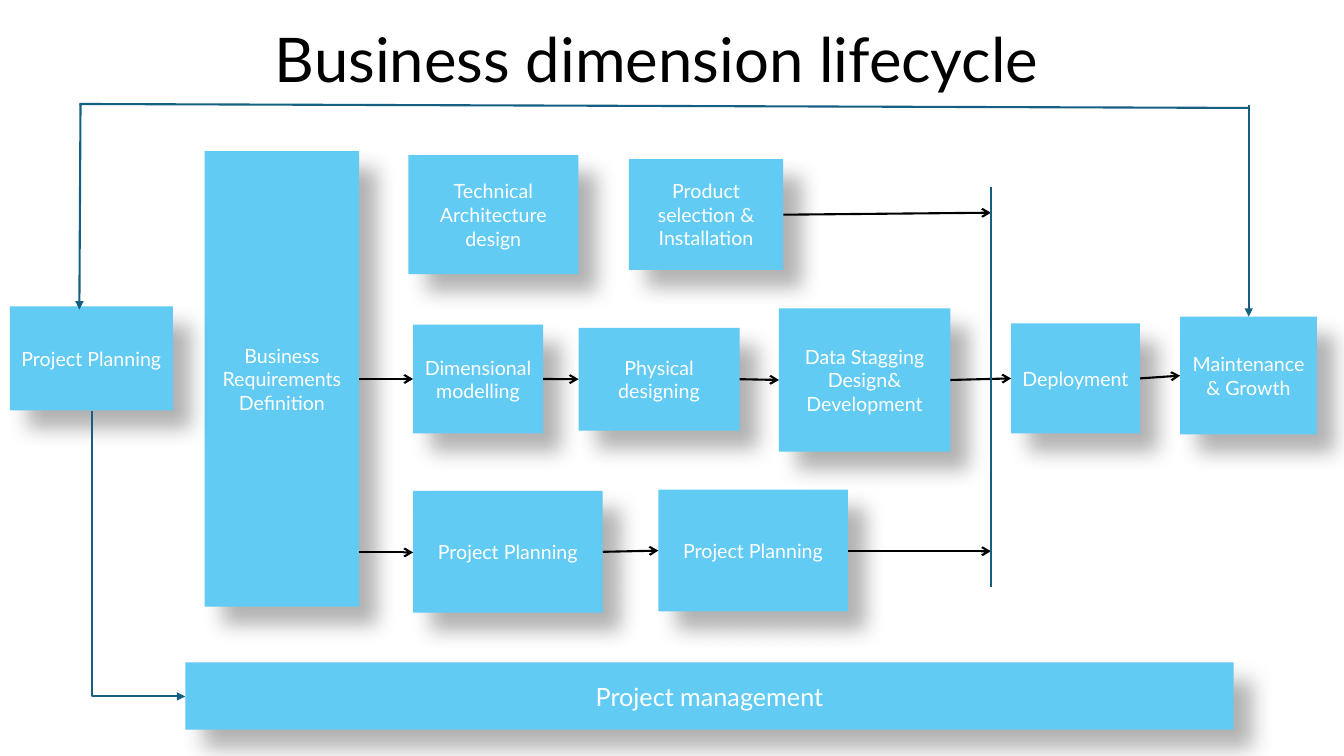
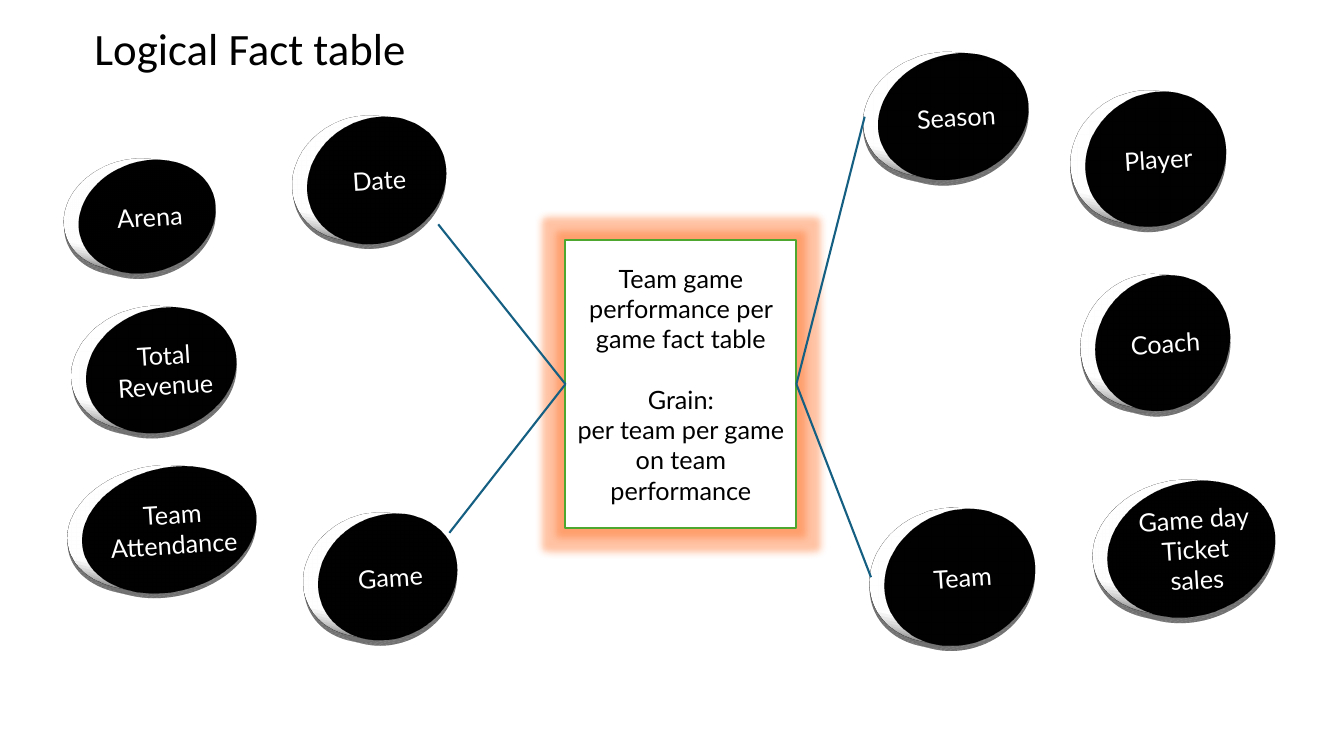
from lxml import etree
from pptx import Presentation
from pptx.dml.color import RGBColor
from pptx.enum.shapes import MSO_CONNECTOR as Link, MSO_SHAPE as Form
from pptx.enum.text import MSO_ANCHOR as Anchor, PP_ALIGN as Align
from pptx.oxml import parse_xml
from pptx.oxml.ns import nsdecls, qn
from pptx.util import Cm, Pt

BLACK, WHITE = "000000", "FFFFFF"
SKY, TEAL, GREEN, ORANGE = "61CBF4", "156082", "4EA72E", "E97132"
FONT = "Lato"
PAGE = (0, 0, 33.87, 19.05)
LEFT, RIGHT = 1, 3  # connection sites of a rectangle


def paint(hue):
    return RGBColor.from_string(hue)


def node(text):
    """Parse one drawing element, adding its namespace."""
    tag, rest = text.split(" ", 1)
    return parse_xml(f"{tag} {nsdecls('a')} {rest}")


def shift(page, area):
    """Move an area given relative to the page box into slide lengths."""
    x, y, w, h = area
    return Cm(page[0] + x), Cm(page[1] + y), Cm(w), Cm(h)


def write(frame, lines, size, hue, font=FONT, align=Align.CENTER, gaps=()):
    frame.word_wrap = True
    frame.vertical_anchor = Anchor.MIDDLE
    for i, line in enumerate(lines):
        para = frame.paragraphs[0] if i == 0 else frame.add_paragraph()
        para.alignment = align
        if i in gaps:
            para.space_before = Pt(size * 1.2)
        run = para.add_run()
        run.text = line
        run.font.size, run.font.name = Pt(size), font
        run.font.color.rgb = paint(hue)


def title(slide, page, area, text, size, font=FONT):
    frame = slide.shapes.add_textbox(*shift(page, area)).text_frame
    write(frame, [text], size, BLACK, font, Align.LEFT)
    frame.paragraphs[0].line_spacing = 0.9


def plain(slide, page, form, area, fill):
    shape = slide.shapes.add_shape(form, *shift(page, area))
    shape.shadow.inherit = False
    shape.fill.solid()
    shape.fill.fore_color.rgb = paint(fill)
    shape.line.fill.background()
    return shape


def effect(shape, text):
    shape.element.spPr.find(qn("a:effectLst")).append(node(text))


def shade(shape, alpha, blur, dist, angle):
    effect(shape, f'<a:outerShdw blurRad="{Pt(blur)}" dist="{Pt(dist)}" '
           f'dir="{angle * 60000}" algn="ctr" rotWithShape="0">'
           f'<a:srgbClr val="{BLACK}"><a:alpha val="{alpha * 1000}"/>'
           '</a:srgbClr></a:outerShdw>')


def card(slide, page, area, text, size=14):
    shape = plain(slide, page, Form.RECTANGLE, area, SKY)
    shade(shape, 30, 15, 18, 45)
    write(shape.text_frame, [text], size, WHITE)
    return shape


def disc(slide, page, area, text):
    """A black oval seen at an angle, with a thick white rim."""
    shape = plain(slide, page, Form.OVAL, area, BLACK)
    shade(shape, 33, 17.8, 4, 87)
    props = shape.element.spPr
    props.append(node(
        '<a:scene3d ><a:camera prst="perspectiveFront" fov="3300000">'
        '<a:rot lat="486000" lon="19530000" rev="174000"/></a:camera>'
        '<a:lightRig rig="harsh" dir="t">'
        '<a:rot lat="0" lon="0" rev="3000000"/></a:lightRig></a:scene3d>'))
    props.append(node(
        '<a:sp3d extrusionH="254000" contourW="19050">'
        '<a:bevelT w="82550" h="44450" prst="angle"/>'
        '<a:bevelB w="82550" h="44450" prst="angle"/>'
        f'<a:extrusionClr><a:srgbClr val="{WHITE}"/></a:extrusionClr>'
        f'<a:contourClr><a:srgbClr val="{WHITE}"/></a:contourClr></a:sp3d>'))
    write(shape.text_frame, [text], 18, WHITE)


def line(slide, page, start, end, hue=TEAL, head=None, kind=Link.STRAIGHT):
    x, y = page[:2]
    link = slide.shapes.add_connector(
        kind, Cm(x + start[0]), Cm(y + start[1]),
        Cm(x + end[0]), Cm(y + end[1]))
    link.line.color.rgb = paint(hue)
    link.line.width = Pt(1.5)
    if head:
        link.line._get_or_add_ln().append(node(f'<a:tailEnd type="{head}"/>'))
    etree.SubElement(link.element.spPr, qn("a:effectLst"))
    return link


def elbow(slide, page, start, end):
    """Run down from start, then right to end, as a turned connector."""
    (x0, y0), (x1, y1) = start, end
    mid, level = (x0 + x1) / 2, (y0 + y1) / 2
    half, rise = (y1 - y0) / 2, (x1 - x0) / 2
    link = line(slide, page, (mid + half, level - rise),
                (mid - half, level + rise), head="triangle", kind=Link.ELBOW)
    props = link.element.spPr
    props.find(qn("a:prstGeom")).set("prst", "bentConnector2")
    props.find(qn("a:xfrm")).set("rot", str(270 * 60000))


def flow(slide, page):
    cards = {key: card(slide, page, area, text) for key, area, text in (
        ("needs", (5.16, 3.81, 3.89, 11.48), "Business Requirements Definition"),
        ("plan", (0.25, 7.72, 4.11, 2.62), "Project Planning"),
        ("tech", (10.29, 3.91, 4.29, 3), "Technical Architecture design"),
        ("goods", (15.85, 4.01, 3.89, 2.79), "Product selection & Installation"),
        ("model", (10.41, 8.18, 3.28, 2.74), "Dimensional modelling"),
        ("first", (10.41, 12.37, 4.78, 3.07), "Project Planning"),
        ("data", (19.63, 7.77, 4.32, 3.61), "Data Stagging Design& Development"),
        ("build", (14.58, 8.26, 4.06, 2.59), "Physical designing"),
        ("next", (16.59, 12.34, 4.78, 3.07), "Project Planning"),
        ("growth", (29.74, 7.98, 3.45, 2.97), "Maintenance & Growth"),
        ("launch", (25.48, 8.15, 3.25, 2.77), "Deployment"),
    )}
    card(slide, page, (4.67, 16.69, 26.42, 1.7), "Project management", 18)

    for chain in (("needs", "model", "build", "data", "launch", "growth"),
                  ("first", "next")):
        for a, b in zip(chain, chain[1:]):
            link = line(slide, page, (0, 0), (1, 1), BLACK, "arrow")
            link.begin_connect(cards[a], RIGHT)
            link.end_connect(cards[b], LEFT)

    gate = 24.97
    for start, end in (((9.04, 13.92), (10.41, 13.92)),
                       ((19.74, 5.41), (gate, 5.36)),
                       ((21.37, 13.89), (gate, 13.89))):
        line(slide, page, start, end, BLACK, "arrow")
    line(slide, page, (gate, 4.7), (gate, 14.78))

    line(slide, page, (2, 2.62), (31.47, 2.72))
    line(slide, page, (2.03, 2.62), (2, 7.8), head="triangle")
    line(slide, page, (31.47, 2.64), (31.47, 7.98), head="triangle")
    elbow(slide, page, (2.31, 10.36), (4.67, 17.55))


def star(slide, page):
    x, y, w, h = fact = (14.25, 6.05, 5.82, 7.26)
    shape = plain(slide, page, Form.RECTANGLE, fact, WHITE)
    shape.line.color.rgb = paint(GREEN)
    shape.line.width = Pt(1.5)
    effect(shape, f'<a:glow rad="{Pt(11)}"><a:srgbClr val="{ORANGE}">'
           '<a:satMod val="175000"/><a:alpha val="40000"/>'
           '</a:srgbClr></a:glow>')
    write(shape.text_frame, ["Team game performance per game fact table",
                             "Grain:", "per team per game on team performance"],
          18, BLACK, gaps=(1,))

    for area, text in (
        ((1.68, 4.04, 4.19, 2.84), "Arena"),
        ((1.85, 7.75, 4.6, 3.15), "Total Revenue"),
        ((1.7, 11.76, 5.33, 3.15), "Team Attendance"),
        ((27.03, 2.31, 4.32, 3.4), "Player"),
        ((27.3, 6.93, 4.14, 3.43), "Coach"),
        ((27.56, 12.12, 5.13, 3.43), "Game day Ticket sales"),
    ):
        disc(slide, page, area, text)

    # Each linked oval: area, text, share of its width and height, fact side
    far, near = 0.85, 0.15
    for area, text, across, down, side in (
        ((7.44, 2.95, 4.24, 3.18), "Date", far, far, x),
        ((7.72, 12.95, 4.24, 3.18), "Game", far, near, x),
        ((21.79, 1.35, 4.62, 3.18), "Season", 0, 0.5, x + w),
        ((21.95, 12.83, 4.62, 3.43), "Team", 0, 0.5, x + w),
    ):
        disc(slide, page, area, text)
        start = area[0] + area[2] * across, area[1] + area[3] * down
        line(slide, page, start, (side, y + h / 2))


def main():
    deck = Presentation()
    deck.slide_width, deck.slide_height = Cm(PAGE[2]), Cm(PAGE[3])
    blank = deck.slide_layouts[6]

    slide = deck.slides.add_slide(blank)
    title(slide, PAGE, (6.68, 0.53, 25.91, 2.08),
          "Business dimension lifecycle", 44)
    flow(slide, PAGE)

    slide = deck.slides.add_slide(blank)
    title(slide, PAGE, (2.13, 0.71, 29.21, 1.17),
          "Logical Fact table", 32, "Calibri")
    star(slide, PAGE)

    deck.save("out.pptx")


if __name__ == "__main__":
    main()
